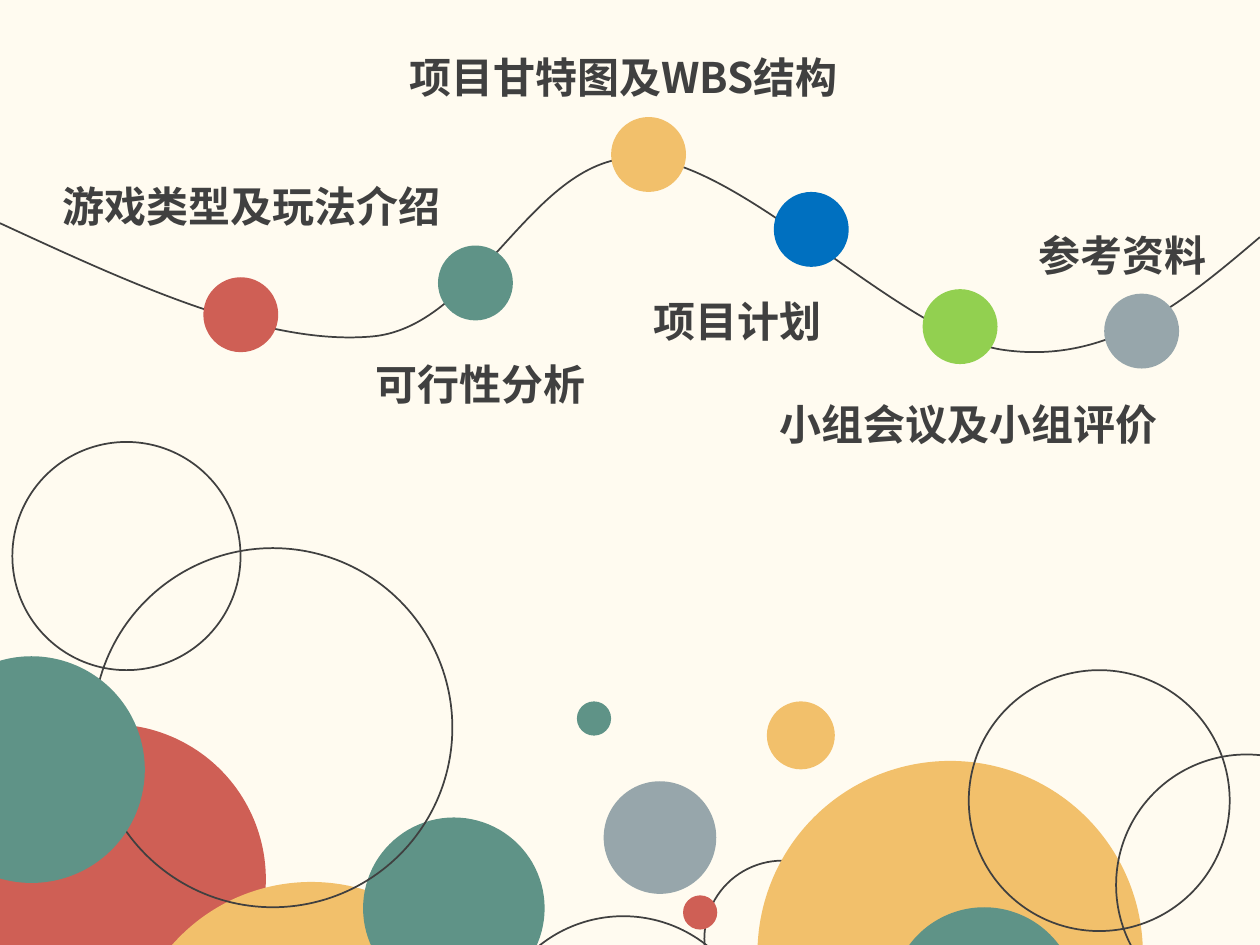
from lxml.etree import SubElement
from pptx import Presentation
from pptx.dml.color import RGBColor
from pptx.enum.shapes import MSO_SHAPE as Shape
from pptx.enum.text import MSO_AUTO_SIZE as AutoSize
from pptx.oxml.ns import qn
from pptx.util import Cm, Pt

CREAM = RGBColor(0xFF, 0xFB, 0xF0)
CHARCOAL = RGBColor(0x40, 0x40, 0x40)
RED = RGBColor(0xCF, 0x5F, 0x55)
AMBER = RGBColor(0xF2, 0xC0, 0x6B)
TEAL = RGBColor(0x5F, 0x93, 0x87)
GRAY = RGBColor(0x97, 0xA6, 0xAB)
BLUE = RGBColor(0x00, 0x70, 0xC0)
GREEN = RGBColor(0x92, 0xD0, 0x50)
FONT = "Noto Sans CJK SC"
STOP_SIZE = 1.51

BUBBLES = [
    (-0.89, 14.6, 6.25, RED),
    (2.54, 17.78, 7.47, AMBER),
    (7.32, 16.48, 3.66, TEAL),
    (9.86, 18.47, 5.41, None),
    (1.88, 11.05, 7.24, None),
    (-1.65, 13.23, 4.57, TEAL),
    (14.2, 17.35, 3.15, None),
    (15.27, 15.34, 7.77, AMBER),
    (17.96, 18.29, 3.76, TEAL),
    (19.53, 13.51, 5.26, None),
    (22.5, 15.21, 5.26, None),
    (12.17, 15.75, 2.27, GRAY),
    (13.77, 18.05, 0.69, RED),
    (11.63, 14.14, 0.69, TEAL),
    (15.46, 14.14, 1.37, AMBER),
    (0.25, 8.91, 4.6, None),
]

ROUTE_START = (0, 4.5)
ROUTE = [
    [(2.69, 5.74), (5.38, 6.99), (7.54, 6.78)],
    [(9.68, 6.55), (10.74, 3.12), (12.88, 3.18)],
    [(14.99, 3.23), (18.19, 6.81), (20.27, 7.06)],
    [(22.38, 7.34), (23.88, 6.07), (25.4, 4.78)],
]

STOPS = [
    (4.1, 5.59, RED),
    (8.83, 4.95, TEAL),
    (22.26, 5.92, GRAY),
    (12.32, 2.36, AMBER),
    (15.6, 3.87, BLUE),
    (18.6, 5.83, GREEN),
]

TOPICS = [
    ("游戏类型及玩法介绍", 1.02, 3.51, 9.35),
    ("项目计划", 12.92, 5.83, 4.5),
    ("可行性分析", 7.32, 7.11, 4.98),
    ("参考资料", 20.69, 4.5, 4.09),
    ("项目甘特图及WBS结构", 8, 0.92, 10.13),
    ("小组会议及小组评价", 15.47, 7.91, 8.99),
]


def outline(shape):
    shape.shadow.inherit = False
    shape.fill.background()
    shape.line.color.rgb = CHARCOAL
    shape.line.width = Pt(1)


def add_circle(page, left, top, size, color):
    circle = page.shapes.add_shape(Shape.OVAL, Cm(left), Cm(top), Cm(size), Cm(size))
    if color is None:
        outline(circle)
    else:
        circle.shadow.inherit = False
        circle.fill.solid()
        circle.fill.fore_color.rgb = color
        circle.line.fill.background()


def add_curve(page, start, segments):
    ends = [(Cm(x), Cm(y)) for *_, (x, y) in segments]
    builder = page.shapes.build_freeform(Cm(start[0]), Cm(start[1]))
    builder.add_line_segments(ends, close=False)
    curve = builder.convert_to_shape()
    outline(curve)
    lines = list(curve._element.iter(qn("a:lnTo")))
    for line, segment in zip(lines, segments):
        line.tag = qn("a:cubicBezTo")
        line.remove(line[0])
        for x, y in segment:
            SubElement(
                line, qn("a:pt"), x=str(Cm(x) - curve.left), y=str(Cm(y) - curve.top)
            )


def add_topic(page, text, left, top, width):
    box = page.shapes.add_textbox(Cm(left), Cm(top), Cm(width), Cm(1.27))
    frame = box.text_frame
    frame.word_wrap = True
    frame.auto_size = AutoSize.SHAPE_TO_FIT_TEXT
    span = frame.paragraphs[0].add_run()
    span.text = text
    font = span.font
    font.name = FONT
    font.size = Pt(24)
    font.bold = True
    font.color.rgb = CHARCOAL
    properties = span._r.get_or_add_rPr()
    east_asian = properties.makeelement(qn("a:ea"), {"typeface": FONT})
    properties.find(qn("a:latin")).addnext(east_asian)


def main():
    deck = Presentation()
    deck.slide_width, deck.slide_height = Cm(25.4), Cm(19.05)
    page = deck.slides.add_slide(deck.slide_layouts[6])
    page.background.fill.solid()
    page.background.fill.fore_color.rgb = CREAM
    for bubble in BUBBLES:
        add_circle(page, *bubble)
    add_curve(page, ROUTE_START, ROUTE)
    for left, top, color in STOPS:
        add_circle(page, left, top, STOP_SIZE, color)
    for topic in TOPICS:
        add_topic(page, *topic)
    deck.save("out.pptx")


if __name__ == "__main__":
    main()
